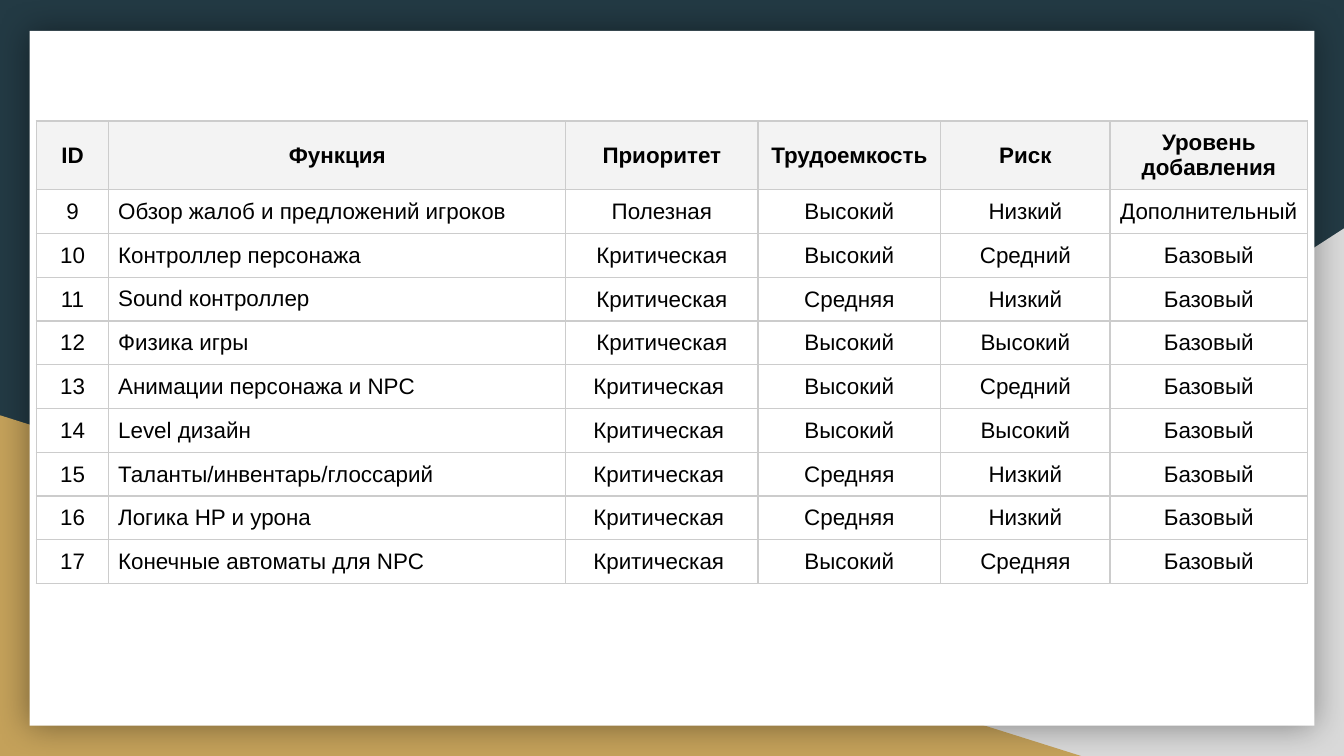
from lxml.etree import SubElement
from pptx import Presentation
from pptx.dml.color import RGBColor
from pptx.enum.shapes import MSO_SHAPE as SHAPE
from pptx.enum.text import MSO_ANCHOR as ANCHOR, PP_ALIGN as ALIGN
from pptx.oxml.ns import qn
from pptx.util import Inches, Pt

NAVY = RGBColor(0x23, 0x3A, 0x44)
GRAY = RGBColor(0xD9, 0xD9, 0xD9)
GOLD = RGBColor(0xC4, 0xA1, 0x5A)
WHITE = RGBColor(0xFF, 0xFF, 0xFF)
BLACK = RGBColor(0, 0, 0)
HEADER_FILL = RGBColor(0xF3, 0xF3, 0xF3)
BORDER = RGBColor(0xCC, 0xCC, 0xCC)

SLIDE_W = Inches(10)
SLIDE_H = SLIDE_W * 9 // 16
TABLE_LEFT, TABLE_TOP = 0.27, 0.9
COL_WIDTHS = [0.54, 3.4, 1.43, 1.36, 1.26, 1.47]
HEADER_H, ROW_H = 0.5, 0.32
NAME_COL = 1

HEADERS = ["ID", "Функция", "Приоритет", "Трудоемкость", "Риск",
           "Уровень добавления"]
FEATURES = [
    ["9", "Обзор жалоб и предложений игроков", "Полезная", "Высокий", "Низкий",
     "Дополнительный"],
    ["10", "Контроллер персонажа", "Критическая", "Высокий", "Средний", "Базовый"],
    ["11", "Sound контроллер", "Критическая", "Средняя", "Низкий", "Базовый"],
    ["12", "Физика игры", "Критическая", "Высокий", "Высокий", "Базовый"],
    ["13", "Анимации персонажа и NPC", "Критическая ", "Высокий", "Средний", "Базовый"],
    ["14", "Level дизайн", "Критическая ", "Высокий", "Высокий", "Базовый"],
    ["15", "Таланты/инвентарь/глоссарий", "Критическая ", "Средняя", "Низкий", "Базовый"],
    ["16", "Логика HP и урона", "Критическая ", "Средняя", "Низкий", "Базовый"],
    ["17", "Конечные автоматы для NPC", "Критическая ", "Высокий", "Средняя", "Базовый"],
]


def add_panel(slide, kind, left, top, width, height, color):
    sp = slide.shapes.add_shape(kind, Inches(left), Inches(top),
                                Inches(width), Inches(height))
    sp.shadow.inherit = False
    sp.fill.solid()
    sp.fill.fore_color.rgb = color
    sp.line.fill.background()
    return sp


def flip_horizontally(sp):
    sp._element.spPr.find(qn("a:xfrm")).set("flipH", "1")


def add_glow_shadow(sp, blur, opacity):
    effects = sp._element.spPr.find(qn("a:effectLst"))
    shadow = SubElement(effects, qn("a:outerShdw"), blurRad=str(Pt(blur)),
                        dist="0", dir="0", algn="ctr", rotWithShape="0")
    color = SubElement(shadow, qn("a:srgbClr"), val=str(BLACK))
    SubElement(color, qn("a:alpha"), val=str(opacity * 1000))


def set_borders(cell):
    tc_pr = cell._tc.get_or_add_tcPr()
    for position, side in enumerate(("a:lnL", "a:lnR", "a:lnT", "a:lnB")):
        ln = tc_pr.makeelement(qn(side), {"w": str(Pt(0.75))})
        fill = SubElement(ln, qn("a:solidFill"))
        SubElement(fill, qn("a:srgbClr"), val=str(BORDER))
        tc_pr.insert(position, ln)


def fill_cell(cell, text, is_header, is_name):
    margin = Pt(5 if is_header or is_name else 4.5)
    cell.margin_left = cell.margin_right = margin
    cell.margin_top = cell.margin_bottom = margin
    plain_name = is_name and not is_header
    cell.vertical_anchor = ANCHOR.TOP if plain_name else ANCHOR.MIDDLE
    if is_header:
        cell.fill.solid()
        cell.fill.fore_color.rgb = HEADER_FILL
    else:
        cell.fill.background()
    set_borders(cell)
    cell.text = text
    p = cell.text_frame.paragraphs[0]
    p.alignment = ALIGN.LEFT if plain_name else ALIGN.CENTER
    p.font.name = "Arial"
    p.font.size = Pt(12)
    p.font.bold = is_header
    p.font.color.rgb = BLACK


def add_feature_table(slide):
    rows = [HEADERS] + FEATURES
    heights = [HEADER_H] + [ROW_H] * len(FEATURES)
    table = slide.shapes.add_table(
        len(rows), len(HEADERS), Inches(TABLE_LEFT), Inches(TABLE_TOP),
        Inches(sum(COL_WIDTHS)), Inches(sum(heights))).table
    table.first_row = table.horz_banding = False
    for column, width in zip(table.columns, COL_WIDTHS):
        column.width = Inches(width)
    for i, (texts, height) in enumerate(zip(rows, heights)):
        table.rows[i].height = Inches(height)
        for j, text in enumerate(texts):
            fill_cell(table.cell(i, j), text, i == 0, j == NAME_COL)


def main():
    prs = Presentation()
    prs.slide_width, prs.slide_height = SLIDE_W, SLIDE_H
    slide = prs.slides.add_slide(prs.slide_layouts[6])

    # Background with two corner triangles
    slide.background.fill.solid()
    slide.background.fill.fore_color.rgb = NAVY
    corner = add_panel(slide, SHAPE.RIGHT_TRIANGLE, 3.92, 1.7, 6.08, 3.93, GRAY)
    flip_horizontally(corner)
    add_panel(slide, SHAPE.RIGHT_TRIANGLE, 0, 3.09, 8.06, 2.54, GOLD)

    # White card
    card = add_panel(slide, SHAPE.RECTANGLE, 0.22, 0.23, 9.56, 5.17, WHITE)
    add_glow_shadow(card, blur=18, opacity=40)

    # Feature table
    add_feature_table(slide)
    prs.save("out.pptx")


if __name__ == "__main__":
    main()
